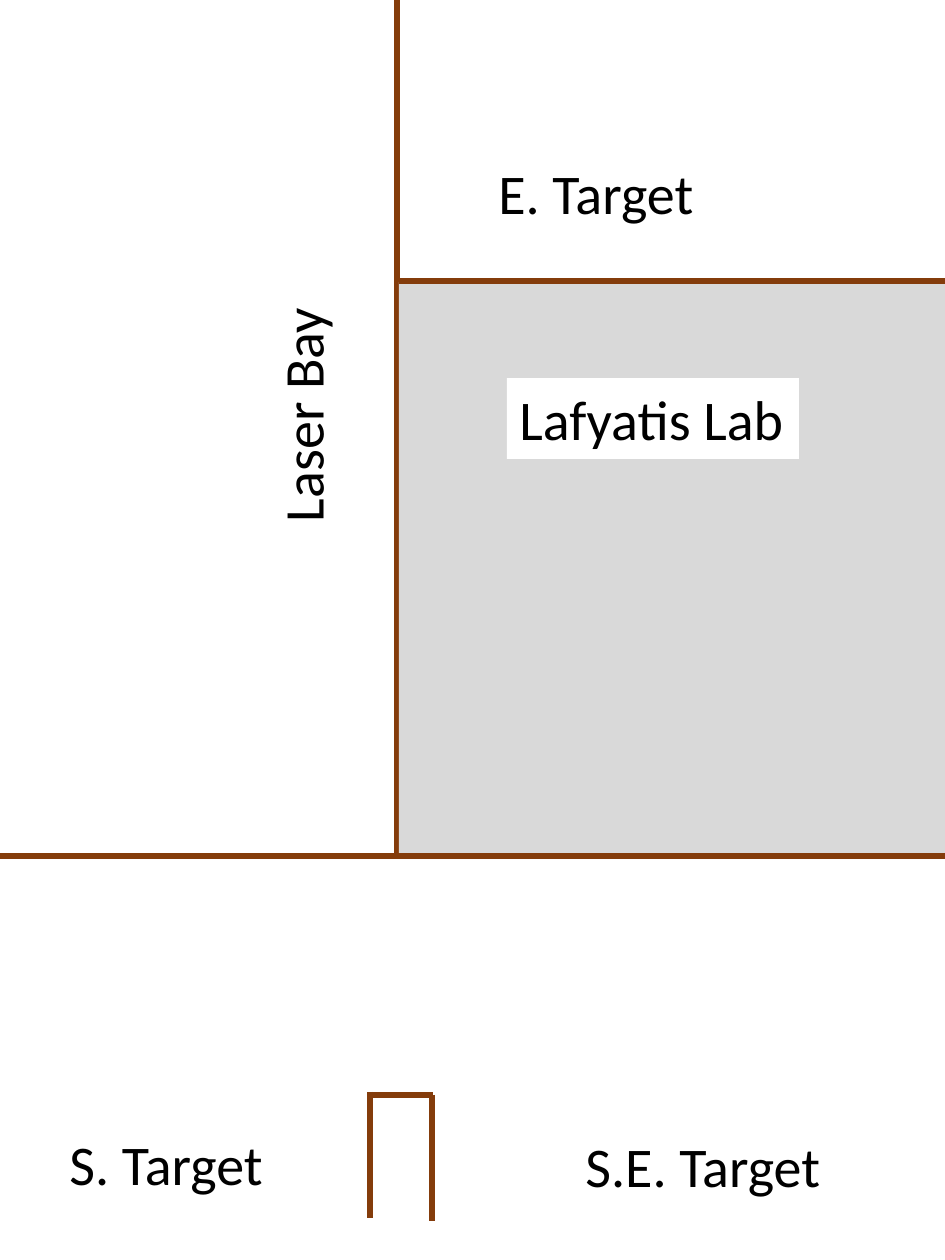
import pptx
import pptx.dml.color
import pptx.enum.shapes
import pptx.enum.text
import pptx.oxml.ns
import pptx.util
from lxml import etree

PX = 914400 // 126
WIDTH, HEIGHT = 945, 1260
LABEL_HEIGHT = 81
WALL, LAB_FLOOR, WHITE, BLACK = "843C0B", "D9D9D9", "FFFFFF", "000000"

# Walls: x1, y1, x2, y2
BAY_WALLS = [
    (0, 856, WIDTH, 856),
    (397, 0, 397, 854),
]
PILLAR_WALLS = [
    (370, 1092, 370, 1218),
    (432, 1095, 432, 1221),
    (370, 1095, 433, 1095),
]
LAB_WALL = (399, 281, WIDTH, 281)
LAB_AREA = (399, 282, 546, 571)

# Room labels: text, left, top, width, format
LABELS = [
    ("Laser Bay", 181, 373, 242, {"rotation": 270}),
    ("S.E. Target", 573, 1125, 263, {}),
    ("Lafyatis Lab", 507, 378, 292, {"fill": WHITE}),
    ("S. Target", 57, 1123, 221, {}),
    ("E. Target", 486, 152, 223, {}),
]


def color(value):
    return pptx.dml.color.RGBColor.from_string(value)


def emu(*lengths):
    return [pptx.util.Emu(length * PX) for length in lengths]


def add_wall(slide, ends):
    wall = slide.shapes.add_connector(
        pptx.enum.shapes.MSO_CONNECTOR.STRAIGHT, *emu(*ends))
    wall.line.color.rgb = color(WALL)
    wall.line.width = pptx.util.Pt(3)
    properties = wall._element.spPr
    etree.SubElement(properties, pptx.oxml.ns.qn("a:effectLst"))


def add_area(slide, box, fill):
    area = slide.shapes.add_shape(
        pptx.enum.shapes.MSO_SHAPE.RECTANGLE, *emu(*box))
    area.shadow.inherit = False
    area.fill.solid()
    area.fill.fore_color.rgb = color(fill)
    area.line.fill.background()


def add_label(slide, text, left, top, width, *, rotation=0, fill=None,
              size=32, font="Calibri", text_color=BLACK):
    label = slide.shapes.add_textbox(*emu(left, top, width, LABEL_HEIGHT))
    label.rotation = rotation
    if fill:
        label.fill.solid()
        label.fill.fore_color.rgb = color(fill)
    frame = label.text_frame
    frame.word_wrap = False
    frame.auto_size = pptx.enum.text.MSO_AUTO_SIZE.SHAPE_TO_FIT_TEXT
    run = frame.paragraphs[0].add_run()
    run.text = text
    run.font.name = font
    run.font.size = pptx.util.Pt(size)
    run.font.color.rgb = color(text_color)


def main():
    presentation = pptx.Presentation()
    presentation.slide_width, presentation.slide_height = emu(WIDTH, HEIGHT)
    slide = presentation.slides.add_slide(presentation.slide_layouts[6])
    for ends in BAY_WALLS + PILLAR_WALLS:
        add_wall(slide, ends)
    add_area(slide, LAB_AREA, LAB_FLOOR)
    add_wall(slide, LAB_WALL)
    for text, left, top, width, style in LABELS:
        add_label(slide, text, left, top, width, **style)
    presentation.save("out.pptx")


if __name__ == "__main__":
    main()
